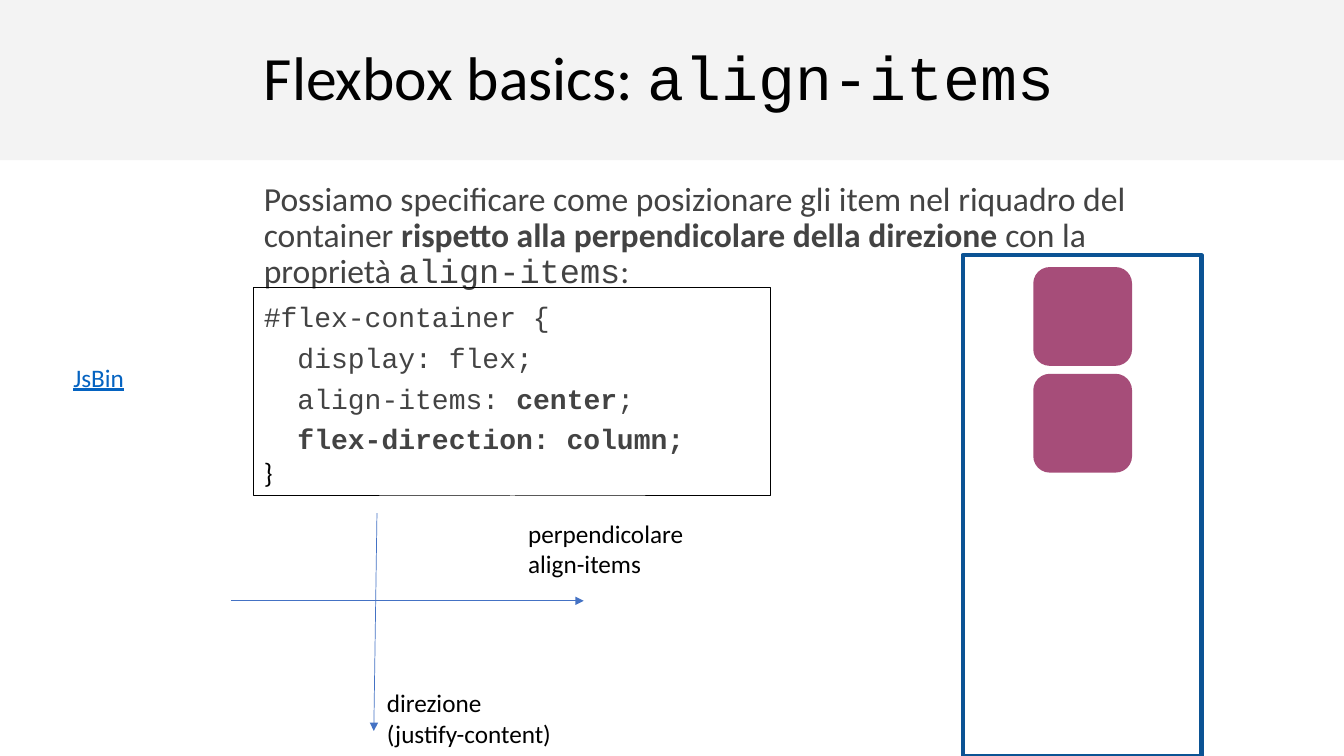
from dataclasses import dataclass

from lxml import etree
from pptx import Presentation
from pptx.dml.color import RGBColor as RGB
from pptx.enum.shapes import MSO_CONNECTOR as CONN, MSO_SHAPE as SHAPE
from pptx.enum.text import MSO_ANCHOR as ANCHOR
from pptx.oxml.ns import qn
from pptx.util import Cm, Pt


@dataclass(frozen=True)
class Theme:
    sans: str = "Calibri"
    mono: str = "Courier New"
    black: str = "000000"
    grey: str = "434343"
    band: str = "F3F3F3"
    white: str = "FFFFFF"
    frame: str = "0B5394"
    item: str = "A64D79"
    link: str = "0563C1"
    arrow: str = "4472C4"
    title_pt: int = 44
    body_pt: int = 24
    code_pt: int = 20
    label_pt: int = 18


T = Theme()


def add_box(s, kind, box, fill=None, line=None, width=0):
    sp = s.shapes.add_shape(kind, *map(Cm, box))
    sp.shadow.inherit = False
    if fill:
        sp.fill.solid()
        sp.fill.fore_color.rgb = RGB.from_string(fill)
    else:
        sp.fill.background()
    if line:
        sp.line.color.rgb = RGB.from_string(line)
        sp.line.width = Pt(width)
    else:
        sp.line.fill.background()
    return sp


def add_text(s, box, inset=0.25, wrap=True, anchor=ANCHOR.TOP):
    tf = s.shapes.add_textbox(*map(Cm, box)).text_frame
    set_frame(tf, inset, wrap, anchor)
    return tf


def set_frame(tf, inset, wrap, anchor):
    tf.word_wrap = wrap
    tf.vertical_anchor = anchor
    tf.margin_left = tf.margin_right = Cm(0.25)
    tf.margin_top = tf.margin_bottom = Cm(inset)


def style(p, size, color, font=None, spacing=None):
    p.font.size = Pt(size)
    p.font.color.rgb = RGB.from_string(color)
    if font:
        p.font.name = font
    if spacing:
        p.line_spacing = spacing


def add_run(p, text, font=None, bold=None):
    r = p.add_run()
    r.text = text
    if font:
        r.font.name = font
    if bold:
        r.font.bold = True


def add_label(s, box, *lines, color=T.black):
    p = add_text(s, box, inset=0.13, wrap=False).paragraphs[0]
    style(p, T.label_pt, color, T.sans)
    for i, line in enumerate(lines):
        if i:
            p.add_line_break()
        add_run(p, line)
    # Line breaks take the size of the label too
    for br in p._p.findall(qn("a:br")):
        etree.SubElement(br, qn("a:rPr"), sz=str(T.label_pt * 100))
    return p


def add_arrow(s, *ends):
    c = s.shapes.add_connector(CONN.STRAIGHT, *map(Cm, ends))
    c.line.color.rgb = RGB.from_string(T.arrow)
    c.line.width = Pt(0.5)
    etree.SubElement(c.line._get_or_add_ln(), qn("a:tailEnd"), type="triangle")
    etree.SubElement(c._element.spPr, qn("a:effectLst"))


def add_code(s, box, lines):
    sp = add_box(s, SHAPE.RECTANGLE, box, line=T.black, width=0.75)
    tf = sp.text_frame
    set_frame(tf, 0.25, True, ANCHOR.MIDDLE)
    for i, parts in enumerate(lines):
        p = tf.add_paragraph() if i else tf.paragraphs[0]
        p.alignment = 1
        if i < len(lines) - 1:
            style(p, T.code_pt, T.grey, T.mono, 1.15)
            p.space_before = Pt(1.6 if i else 0)
        else:
            style(p, T.code_pt, T.black, T.sans)
        for text, bold in parts:
            add_run(p, text, bold=bold)


def main():
    prs = Presentation()
    prs.slide_width, prs.slide_height = Cm(33.87), Cm(19.05)
    s = prs.slides.add_slide(prs.slide_layouts[6])

    # Title band
    add_box(s, SHAPE.RECTANGLE, (0, 0, 33.87, 4.04), T.band)
    p = add_text(s, (6.4, 0.97, 21.06, 2.11), anchor=ANCHOR.MIDDLE).paragraphs[0]
    style(p, T.title_pt, T.black, spacing=0.9)
    add_run(p, "Flexbox basics: ", T.sans)
    add_run(p, "align-items", T.mono)

    # Explanation
    p = add_text(s, (6.4, 4.34, 24.56, 2.49)).paragraphs[0]
    style(p, T.body_pt, T.grey, spacing=0.9)
    add_run(p, "Possiamo specificare come posizionare gli item nel riquadro del container ", T.sans)
    add_run(p, "rispetto alla perpendicolare della direzione ", T.sans, True)
    add_run(p, "con la proprietà ", T.sans)
    add_run(p, "align-items", T.mono)
    add_run(p, ":", T.sans)

    # Container with two stacked items
    add_box(s, SHAPE.RECTANGLE, (24.26, 6.43, 6.02, 12.62), T.white, T.frame, 3)
    for i in range(2):
        add_box(s, SHAPE.ROUNDED_RECTANGLE, (26.04, 6.73 + 2.69 * i, 2.49, 2.49), T.item)

    # Code and its demo label
    add_code(s, (6.4, 7.24, 13.03, 5.26), [
        [("#flex-container {", False)],
        [("  display: flex;", False)],
        [("  align-items: ", False), ("center", True), (";", False)],
        [("  ", False), ("flex-direction: column;", True)],
        [("}", False)],
    ])
    demo = add_label(s, (1.6, 8.99, 1.83, 1.02), "JsBin", color=T.link)
    demo.font.underline = True

    # Axes
    add_arrow(s, 5.82, 15.14, 14.71, 15.14)
    add_arrow(s, 9.5, 12.93, 9.42, 18.42)
    add_label(s, (9.5, 17.2, 4.7, 1.8), "direzione", "(justify-content)")
    add_label(s, (13.06, 12.93, 4.47, 1.8), "perpendicolare", "align-items")

    prs.save("out.pptx")


if __name__ == "__main__":
    main()
